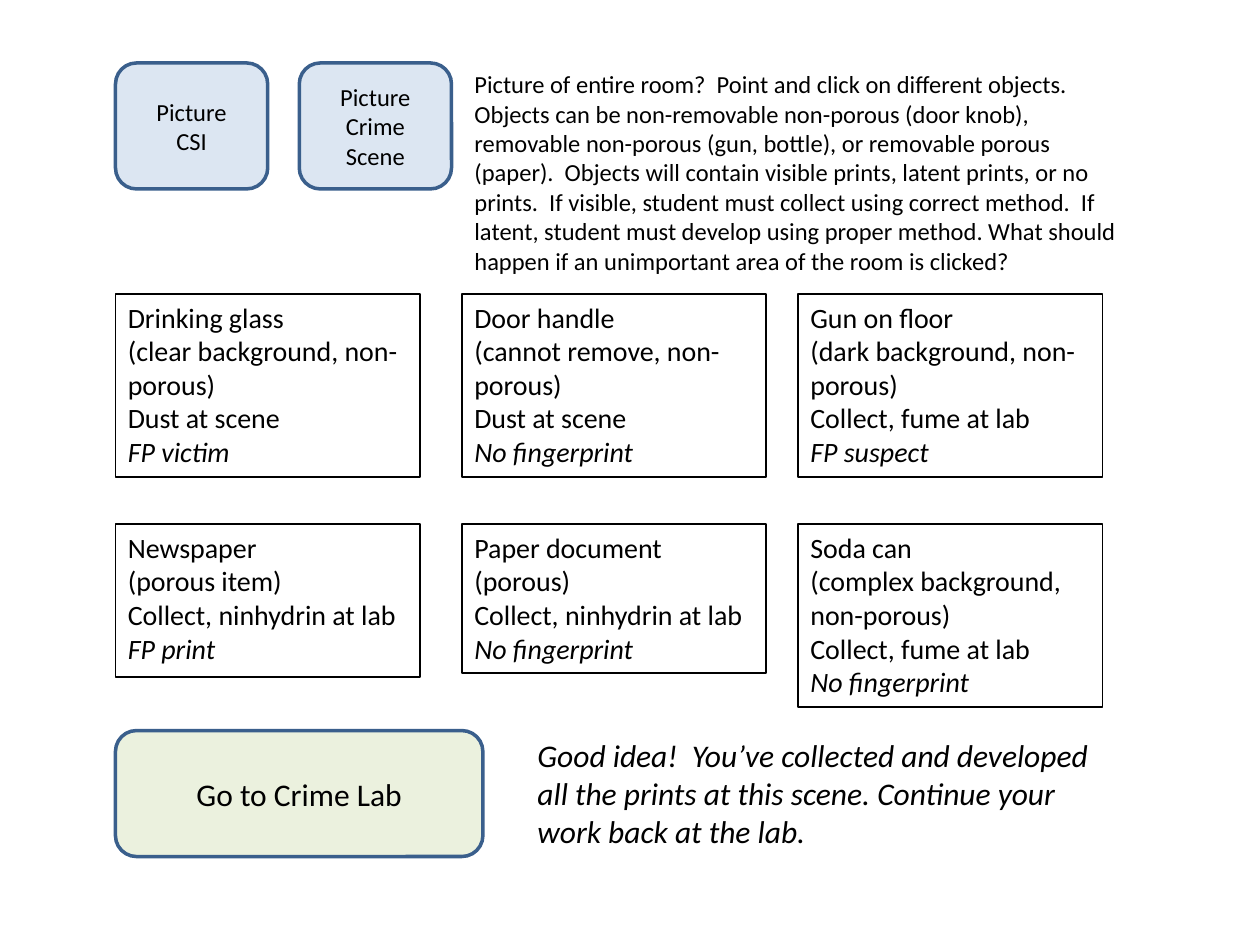
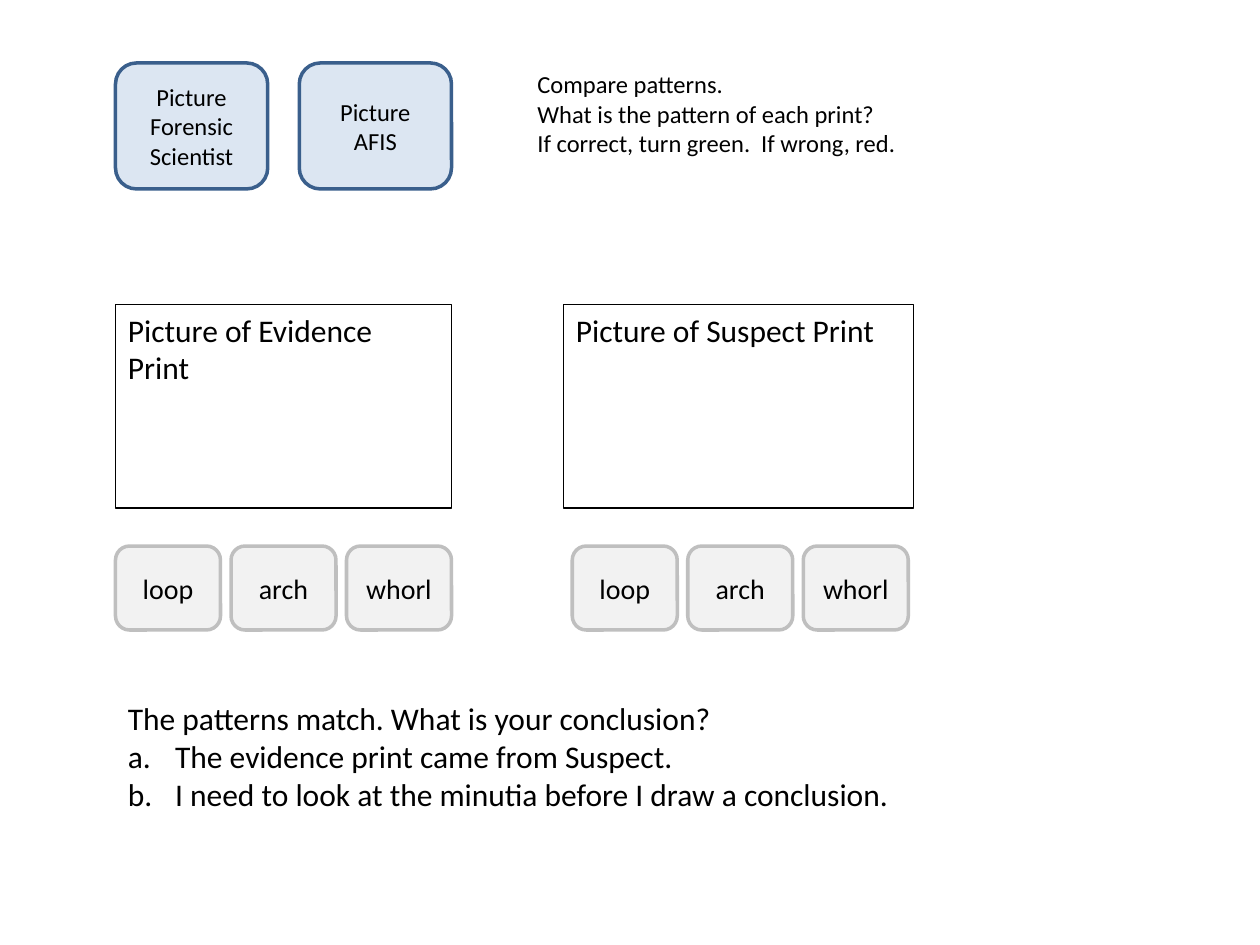
from dataclasses import dataclass

import pptx
import pptx.dml.color
import pptx.enum.shapes
import pptx.enum.text
import pptx.util
from lxml import etree
from pptx.oxml.ns import qn

Pt = pptx.util.Pt
RGB = pptx.dml.color.RGBColor.from_string
SHAPES = pptx.enum.shapes.MSO_SHAPE
ALIGN = pptx.enum.text.PP_ALIGN
ANCHOR = pptx.enum.text.MSO_ANCHOR


@dataclass(frozen=True)
class Theme:
    font: str = "Calibri"
    ink: str = "000000"
    picture_fill: str = "DCE6F2"
    action_fill: str = "EBF1DE"
    accent_line: str = "3A5F8C"
    choice_fill: str = "F2F2F2"
    choice_line: str = "BFBFBF"
    small: int = 14
    medium: int = 16
    large: int = 18


THEME = Theme()
LEFT = 66
TOP = 36
CARD_STEP = 105

ROOM_NOTE = (
    "Picture of entire room?  Point and click on different objects.  "
    "Objects can be non-removable non-porous (door knob), removable "
    "non-porous (gun, bottle), or removable porous (paper).  Objects will "
    "contain visible prints, latent prints, or no prints.  If visible, "
    "student must collect using correct method.  If latent, student must "
    "develop using proper method. What should happen if an unimportant area "
    "of the room is clicked?"
)

EVIDENCE_COLUMNS = (LEFT, 264, 456)
# Each row: top, then (height, lines) for every item
EVIDENCE_ROWS = (
    (168, (
        (104.5, ("Drinking glass", "(clear background, non-porous)",
                 "Dust at scene", "FP victim")),
        (104.5, ("Door handle", "(cannot remove, non-porous)",
                 "Dust at scene", "No fingerprint")),
        (104.5, ("Gun on floor", "(dark background, non-porous)",
                 "Collect, fume at lab", "FP suspect")),
    )),
    (299.5, (
        (87.5, ("Newspaper", "(porous item)",
                "Collect, ninhydrin at lab", "FP print")),
        (85, ("Paper document", "(porous)",
              "Collect, ninhydrin at lab", "No fingerprint")),
        (104.5, ("Soda can", "(complex background, non-porous)",
                 "Collect, fume at lab", "No fingerprint")),
    )),
)

# Each print: title, panel left, panel width, left of its choices
PRINTS = (
    ("Picture of Evidence Print", LEFT, 192, LEFT),
    ("Picture of Suspect Print", 322, 200, 327),
)
PATTERNS = ("loop", "arch", "whorl")


def write_lines(frame, lines, size, align=ALIGN.LEFT, italic_lines=()):
    """Fill the frame, one paragraph a line; italic_lines holds line indexes."""
    frame.word_wrap = True
    for index, line in enumerate(lines):
        paragraph = frame.paragraphs[0] if index == 0 else frame.add_paragraph()
        paragraph.alignment = align
        run = paragraph.add_run()
        run.text = line
        formats = {"name": THEME.font, "size": Pt(size),
                   "italic": index in italic_lines}
        for attribute, value in formats.items():
            setattr(run.font, attribute, value)
        run.font.color.rgb = RGB(THEME.ink)


def add_note(slide, box, lines, size, italic_lines=()):
    note = slide.shapes.add_textbox(*map(Pt, box))
    write_lines(note.text_frame, lines, size, italic_lines=italic_lines)
    return note.text_frame


def add_outline(slide, kind, box, line, width):
    outline = slide.shapes.add_shape(kind, *map(Pt, box))
    outline.shadow.inherit = False
    outline.line.color.rgb = RGB(line)
    outline.line.width = Pt(width)
    return outline


def add_panel(slide, box, lines, size, italic_lines=()):
    """Unfilled black frame with text from the top left."""
    panel = add_outline(slide, SHAPES.RECTANGLE, box, THEME.ink, 1)
    panel.fill.background()
    panel.text_frame.vertical_anchor = ANCHOR.TOP
    write_lines(panel.text_frame, lines, size, italic_lines=italic_lines)


def add_button(slide, box, lines, size, fill, line=THEME.accent_line):
    """Rounded, filled box with centred text."""
    button = add_outline(slide, SHAPES.ROUNDED_RECTANGLE, box, line, 2)
    button.fill.solid()
    button.fill.fore_color.rgb = RGB(fill)
    button.text_frame.vertical_anchor = ANCHOR.MIDDLE
    write_lines(button.text_frame, lines, size, ALIGN.CENTER)


def add_picture_cards(slide, subjects):
    for index, subject in enumerate(subjects):
        box = (LEFT + index * CARD_STEP, TOP, 87, 72)
        add_button(slide, box, ("Picture", subject), THEME.small,
                   THEME.picture_fill)


def letter_paragraphs(paragraphs, indent):
    """Number the paragraphs a., b., ... with a hanging indent."""
    for paragraph in paragraphs:
        properties = paragraph._p.get_or_add_pPr()
        properties.set("marL", str(Pt(indent)))
        properties.set("indent", str(-Pt(indent)))
        etree.SubElement(properties, qn("a:buFont"), typeface="+mj-lt")
        etree.SubElement(properties, qn("a:buAutoNum"), type="alphaLcPeriod")


def build_crime_scene(slide):
    add_picture_cards(slide, ("CSI", "Crime Scene"))
    add_note(slide, (264, TOP, 384, 126), (ROOM_NOTE,), THEME.small)
    for top, items in EVIDENCE_ROWS:
        for left, (height, lines) in zip(EVIDENCE_COLUMNS, items):
            add_panel(slide, (left, top, 174, height), lines, THEME.medium,
                      italic_lines=(len(lines) - 1,))
    add_button(slide, (LEFT, 417.5, 210, 72), ("Go to Crime Lab",),
               THEME.large, THEME.action_fill)
    add_note(slide, (300, 417, 330.5, 72.5),
             ("Good idea!  You’ve collected and developed all the prints at "
              "this scene. Continue your work back at the lab.",),
             THEME.large, italic_lines=(0,))


def build_comparison(slide):
    add_picture_cards(slide, ("Forensic Scientist", "AFIS"))
    add_note(slide, (300, TOP, 264, 58),
             ("Compare patterns.", "What is the pattern of each print?",
              "If correct, turn green.  If wrong, red."), THEME.small)
    for title, left, width, choices_left in PRINTS:
        add_panel(slide, (left, 174, width, 116.5), (title,), THEME.large)
        for index, pattern in enumerate(PATTERNS):
            add_button(slide, (choices_left + index * 66, 312, 60, 48),
                       (pattern,), THEME.medium, THEME.choice_fill,
                       THEME.choice_line)
    conclusion = add_note(
        slide, (LEFT, 396, 582, 94),
        ("The patterns match. What is your conclusion?",
         "The evidence print came from Suspect.",
         "I need to look at the minutia before I draw a conclusion."),
        THEME.large)
    letter_paragraphs(conclusion.paragraphs[1:], 27)


def main():
    deck = pptx.Presentation()
    deck.slide_width, deck.slide_height = Pt(720), Pt(540)
    blank = deck.slide_layouts[6]
    for build in (build_crime_scene, build_comparison):
        build(deck.slides.add_slide(blank))
    deck.save("out.pptx")


if __name__ == "__main__":
    main()
